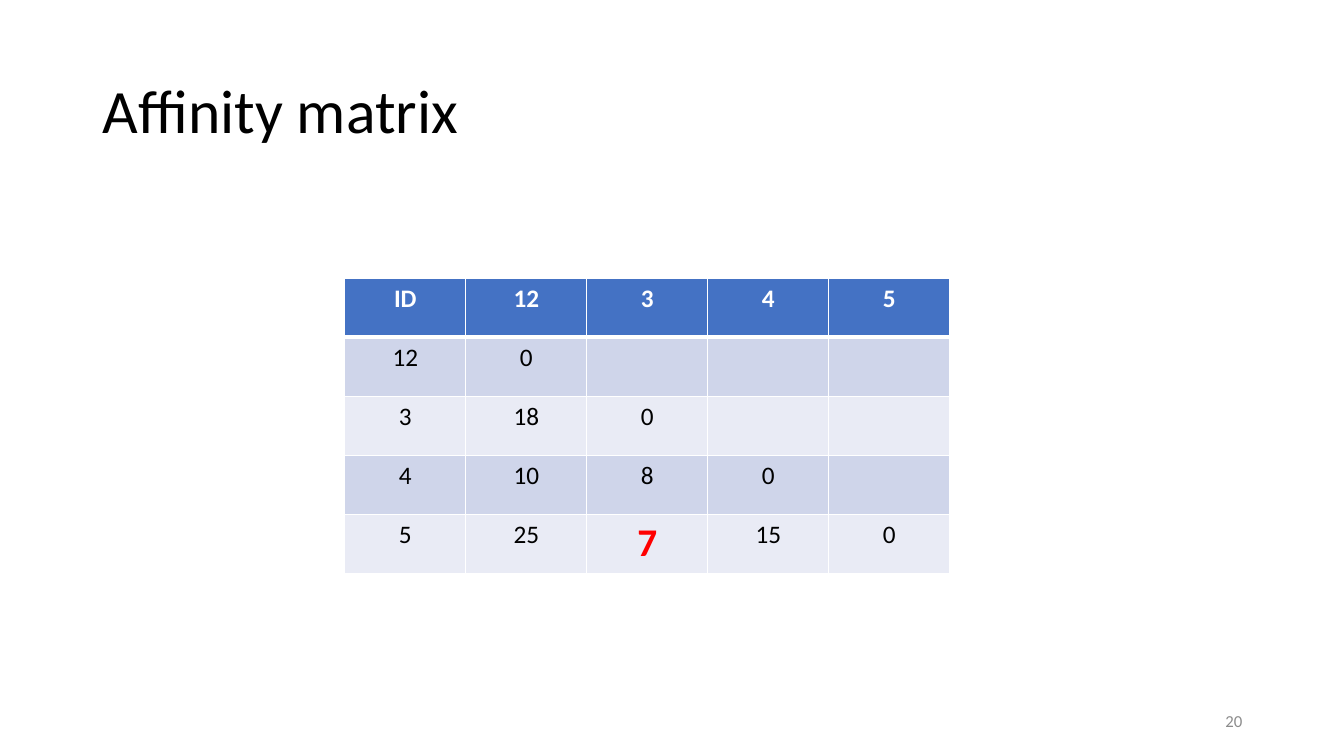
from dataclasses import dataclass

from lxml.etree import SubElement
from pptx import Presentation
from pptx.dml.color import RGBColor
from pptx.enum.text import MSO_ANCHOR, PP_ALIGN
from pptx.oxml.ns import qn
from pptx.util import Inches, Pt


@dataclass(frozen=True)
class Theme:
    """Fonts, colours and type sizes of the slide."""
    font: str = "Calibri"
    text: str = "000000"
    light: str = "FFFFFF"
    muted: str = "8C8C8C"
    highlight: str = "FF0000"
    header: str = "4472C4"
    bands: tuple = ("CFD5EA", "E9EBF5")
    title_size: int = 44
    highlight_size: int = 28
    body_size: int = 18
    number_size: int = 12
    thin_border: int = 1
    thick_border: int = 3


AFFINITIES = [
    ["ID", "12", "3", "4", "5"],
    ["12", "0", "", "", ""],
    ["3", "18", "0", "", ""],
    ["4", "10", "8", "0", ""],
    ["5", "25", "7", "15", "0"],
]
CLOSEST_PAIR = (4, 2)


def write_text(frame, text, *, font, size, color, bold=False,
               align=PP_ALIGN.LEFT, line_spacing=None):
    """Write one formatted paragraph into a text frame."""
    paragraph = frame.paragraphs[0]
    paragraph.alignment = align
    if line_spacing:
        paragraph.line_spacing = line_spacing
    paragraph.font.size = Pt(size)
    if not text:
        return
    run = paragraph.add_run()
    run.text = text
    run.font.name = font
    run.font.size = Pt(size)
    run.font.bold = bold
    run.font.color.rgb = RGBColor.from_string(color)


class SlideBuilder:
    """Adds themed elements to one slide."""

    def __init__(self, slide, theme):
        """Keep the slide and its theme."""
        self.slide = slide
        self.theme = theme

    def add_text(self, text, left, top, width, height, **text_format):
        """Add a vertically centred text box."""
        shape = self.slide.shapes.add_textbox(
            Inches(left), Inches(top), Inches(width), Inches(height))
        frame = shape.text_frame
        frame.word_wrap = True
        frame.vertical_anchor = MSO_ANCHOR.MIDDLE
        write_text(frame, text, font=self.theme.font, **text_format)

    def add_matrix(self, values, highlighted, left, top, width, height):
        """Add a matrix with a header row and banded body rows."""
        shape = self.slide.shapes.add_table(
            len(values), len(values[0]),
            Inches(left), Inches(top), Inches(width), Inches(height))
        for row, texts in enumerate(values):
            for column, text in enumerate(texts):
                self.format_cell(shape.table.cell(row, column), text, row,
                                 (row, column) == highlighted)

    def format_cell(self, cell, text, row, is_highlighted):
        """Fill, border and write one matrix cell."""
        theme = self.theme
        is_header = row == 0
        self.add_borders(cell, row)
        cell.fill.solid()
        fill = theme.header if is_header else theme.bands[(row - 1) % 2]
        cell.fill.fore_color.rgb = RGBColor.from_string(fill)
        size, color = theme.body_size, theme.text
        if is_header:
            color = theme.light
        elif is_highlighted:
            size, color = theme.highlight_size, theme.highlight
        write_text(cell.text_frame, text, font=theme.font, size=size,
                   color=color, bold=is_header or is_highlighted,
                   align=PP_ALIGN.CENTER)

    def add_borders(self, cell, row):
        """Outline a cell, thicker between the header and the body."""
        properties = cell._tc.get_or_add_tcPr()
        for side in ("L", "R", "T", "B"):
            is_thick = (row, side) in ((0, "B"), (1, "T"))
            points = self.theme.thick_border if is_thick else self.theme.thin_border
            line = SubElement(properties, qn(f"a:ln{side}"), w=str(Pt(points)))
            fill = SubElement(line, qn("a:solidFill"))
            SubElement(fill, qn("a:srgbClr"), val=self.theme.light)


def main():
    """Build and save the affinity matrix slide."""
    presentation = Presentation()
    presentation.slide_width = Inches(13.33)
    presentation.slide_height = Inches(7.5)
    slide = presentation.slides.add_slide(presentation.slide_layouts[6])
    theme = Theme()
    builder = SlideBuilder(slide, theme)
    builder.add_text("20", 9.42, 6.95, 3, 0.4, size=theme.number_size,
                     color=theme.muted, align=PP_ALIGN.RIGHT)
    builder.add_matrix(AFFINITIES, CLOSEST_PAIR, 3.42, 2.76, 6, 2.93)
    builder.add_text("Affinity matrix", 0.92, 0.4, 11.5, 1.45,
                     size=theme.title_size, color=theme.text, line_spacing=0.9)
    presentation.save("out.pptx")


if __name__ == "__main__":
    main()
